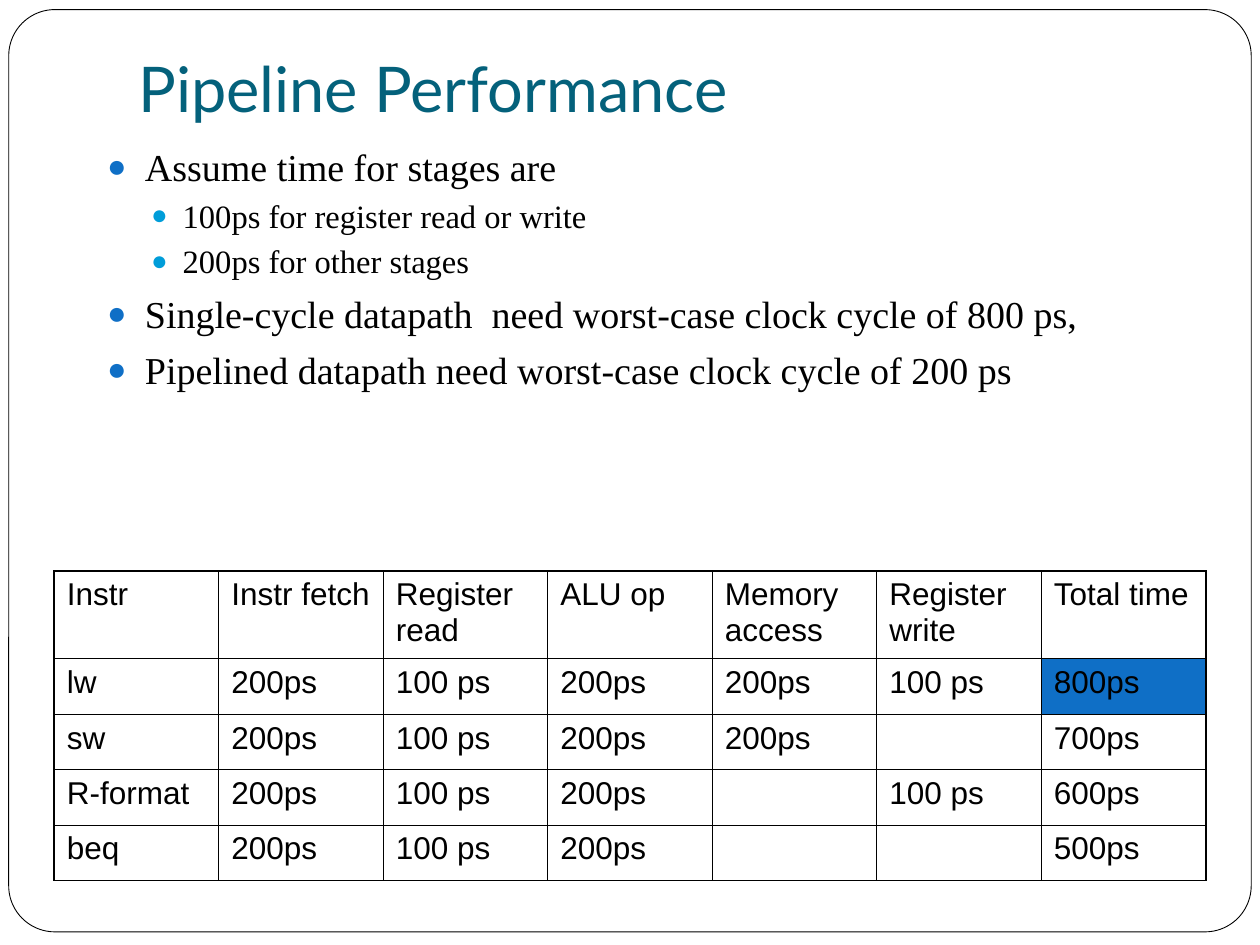
"""Build the Pipeline Performance slide with its stage timing table."""
from dataclasses import dataclass

from lxml import etree
from pptx import Presentation
from pptx.dml.color import RGBColor
from pptx.enum.shapes import MSO_SHAPE
from pptx.enum.text import MSO_ANCHOR, MSO_AUTO_SIZE, PP_ALIGN
from pptx.oxml.ns import qn
from pptx.util import Pt

ROUNDED = MSO_SHAPE.ROUNDED_RECTANGLE
TOP, BOTTOM = MSO_ANCHOR.TOP, MSO_ANCHOR.BOTTOM
NO_AUTOFIT = MSO_AUTO_SIZE.NONE
LEFT = PP_ALIGN.LEFT


@dataclass(frozen=True)
class Theme:
    """Colours, fonts, sizes and line widths."""
    white: str = "FFFFFF"
    black: str = "000000"
    title: str = "04617B"
    accent: str = "0F6FC6"
    accent_light: str = "009DD9"
    title_font: str = "Lato"
    body_font: str = "Times New Roman"
    table_font: str = "Arial"
    title_size: float = 36
    table_size: float = 18
    frame_line: float = 0.5
    outer_line: float = 1.08
    header_line: float = 0.75
    inner_line: float = 0.45


THEME = Theme()


@dataclass(frozen=True)
class Box:
    """A rectangle in points."""
    left: float
    top: float
    width: float
    height: float

    def lengths(self) -> list:
        """Return left, top, width and height as lengths."""
        return [Pt(value) for value in (self.left, self.top, self.width, self.height)]


@dataclass(frozen=True)
class BulletLevel:
    """Format of one list level."""
    size: float
    indent: float
    hanging: float
    space_before: float
    colour: str


@dataclass(frozen=True)
class Bullet:
    """One list entry."""
    text: str
    level: int = 0


LEVELS = (
    BulletLevel(21.7, 21.6, 21.6, 5.8, THEME.accent),
    BulletLevel(18.6, 43.2, 18, 3.7, THEME.accent_light),
)
BULLETS = (
    Bullet("Assume time for stages are"),
    Bullet("100ps for register read or write", 1),
    Bullet("200ps for other stages", 1),
    Bullet("Single-cycle datapath  need worst-case clock cycle of 800 ps,"),
    Bullet("Pipelined datapath need worst-case clock cycle of 200 ps"),
)
ROWS = (
    ("Instr", "Instr fetch", "Register read", "ALU op", "Memory access", "Register write", "Total time"),
    ("lw", "200ps", "100 ps", "200ps", "200ps", "100 ps", "800ps"),
    ("sw", "200ps", "100 ps", "200ps", "200ps", "", "700ps"),
    ("R-format", "200ps", "100 ps", "200ps", "", "100 ps", "600ps"),
    ("beq", "200ps", "100 ps", "200ps", "", "", "500ps"),
)
FRAME_BOX = Box(5, 5.5, 710, 527)
TITLE_BOX = Box(72, 21.6, 612, 56.9)
BODY_BOX = Box(54, 78.5, 651, 209.5)
TABLE_BOX = Box(31, 326.2, 658, 177)
HEADER_HEIGHT = 50.2
WORST_CASE = "800ps"


def apply(target, values: dict) -> None:
    """Set attributes from a dict of format values."""
    for name, value in values.items():
        setattr(target, name, value)


def write(paragraph, text: str, font: str, size: float, colour: str) -> None:
    """Add one formatted run to a paragraph."""
    run = paragraph.add_run()
    run.text = text
    apply(run.font, {"name": font, "size": Pt(size), "bold": False})
    run.font.color.rgb = RGBColor.from_string(colour)


def place(shape, box: Box, anchor, bottom_inset: float) -> None:
    """Move a placeholder and set up its text frame."""
    apply(shape, dict(zip(("left", "top", "width", "height"), box.lengths())))
    apply(shape.text_frame, {
        "word_wrap": True, "auto_size": NO_AUTOFIT, "vertical_anchor": anchor,
        "margin_left": Pt(7.2), "margin_right": Pt(7.2),
        "margin_top": Pt(3.6), "margin_bottom": Pt(bottom_inset),
    })


def add_frame(slide) -> None:
    """Draw the rounded slide border behind the placeholders."""
    shape = slide.shapes.add_shape(ROUNDED, *FRAME_BOX.lengths())
    shape.adjustments[0] = 0.05
    shape.shadow.inherit = False
    shape.fill.solid()
    shape.fill.fore_color.rgb = RGBColor.from_string(THEME.white)
    shape.line.color.rgb = RGBColor.from_string(THEME.black)
    shape.line.width = Pt(THEME.frame_line)
    slide.shapes.element.insert(2, shape.element)


def fill_title(shape) -> None:
    """Write the slide title."""
    place(shape, TITLE_BOX, BOTTOM, 7.2)
    paragraph = shape.text_frame.paragraphs[0]
    paragraph.alignment = LEFT
    write(paragraph, "Pipeline Performance", THEME.title_font, THEME.title_size, THEME.title)


def fill_body(shape) -> None:
    """Write the bullet list."""
    place(shape, BODY_BOX, TOP, 3.6)
    frame = shape.text_frame
    for index, bullet in enumerate(BULLETS):
        paragraph = frame.add_paragraph() if index else frame.paragraphs[0]
        level = LEVELS[bullet.level]
        properties = paragraph._p.get_or_add_pPr()
        properties.set("marL", str(Pt(level.indent)))
        properties.set("indent", str(-Pt(level.hanging)))
        colour = etree.SubElement(properties, qn("a:buClr"))
        etree.SubElement(colour, qn("a:srgbClr"), val=level.colour)
        etree.SubElement(properties, qn("a:buSzPct"), val="85000")
        etree.SubElement(properties, qn("a:buChar"), char="●")
        apply(paragraph, {"level": bullet.level, "alignment": LEFT,
                          "space_before": Pt(level.space_before if index else 0)})
        write(paragraph, bullet.text, THEME.body_font, level.size, THEME.black)


def set_borders(cell, widths: dict) -> None:
    """Put a black line of the given width on each side of a cell."""
    properties = cell._tc.get_or_add_tcPr()
    for index, (side, width) in enumerate(widths.items()):
        line = etree.Element(qn(f"a:{side}"), w=str(Pt(width)))
        fill = etree.SubElement(line, qn("a:solidFill"))
        etree.SubElement(fill, qn("a:srgbClr"), val=THEME.black)
        properties.insert(index, line)


def add_timing_table(slide) -> None:
    """Add the table of stage times per instruction."""
    last_row, last_column = len(ROWS) - 1, len(ROWS[0]) - 1
    table = slide.shapes.add_table(len(ROWS), len(ROWS[0]), *TABLE_BOX.lengths()).table
    apply(table, {"first_row": False, "horz_banding": False})
    row_height = (TABLE_BOX.height - HEADER_HEIGHT) / last_row
    outer, header, inner = THEME.outer_line, THEME.header_line, THEME.inner_line
    tops = [outer, header] + [inner] * (last_row - 1)
    bottoms = tops[1:] + [outer]
    for row, texts in enumerate(ROWS):
        table.rows[row].height = Pt(row_height if row else HEADER_HEIGHT)
        for column, text in enumerate(texts):
            cell = table.cell(row, column)
            cell.fill.solid()
            colour = THEME.accent if text == WORST_CASE else THEME.white
            cell.fill.fore_color.rgb = RGBColor.from_string(colour)
            set_borders(cell, {
                "lnL": inner if column else outer,
                "lnR": outer if column == last_column else inner,
                "lnT": tops[row], "lnB": bottoms[row],
            })
            if text:
                write(cell.text_frame.paragraphs[0], text, THEME.table_font, THEME.table_size, THEME.black)


def main() -> None:
    """Create and save the presentation."""
    presentation = Presentation()
    apply(presentation, {"slide_width": Pt(720), "slide_height": Pt(540)})
    slide = presentation.slides.add_slide(presentation.slide_layouts[1])
    add_frame(slide)
    fill_title(slide.shapes.title)
    fill_body(slide.placeholders[1])
    add_timing_table(slide)
    presentation.save("out.pptx")


if __name__ == "__main__":
    main()
